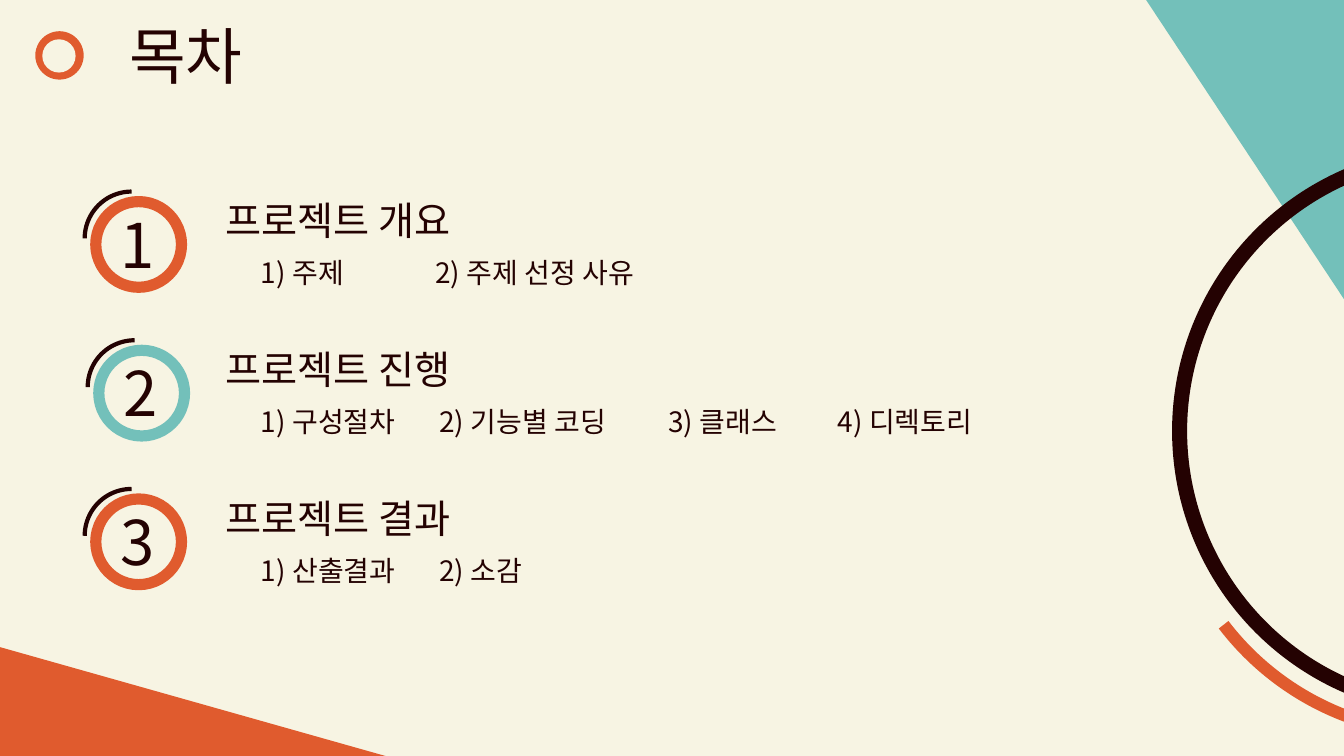
from dataclasses import dataclass

from pptx import Presentation
from pptx.dml.color import RGBColor
from pptx.enum.shapes import MSO_SHAPE
from pptx.enum.text import MSO_ANCHOR, MSO_AUTO_SIZE, PP_ALIGN
from pptx.oxml.ns import qn
from pptx.util import Inches, Pt
from lxml.etree import SubElement


@dataclass(frozen=True)
class Theme:
    font: str = "Noto Sans CJK KR"
    cream: str = "F7F4E3"
    rust: str = "E05B2E"
    teal: str = "73C0BA"
    dark: str = "240202"
    large: int = 44
    head: int = 28
    body: int = 20


THEME = Theme()
TOPICS = [
    (0, THEME.rust, "프로젝트 개요", "1) 주제\t2) 주제 선정 사유", [1.73]),
    (0.03, THEME.teal, "프로젝트 진행",
     "1) 구성절차\t2) 기능별 코딩\t3) 클래스\t4) 디렉토리", [1.77, 4.04, 5.72]),
    (0, THEME.rust, "프로젝트 결과", "1) 산출결과\t2) 소감", [1.77]),
]


def color(code):
    return RGBColor.from_string(code)


def draw(slide, kind, box, fill=None, line=None, width=1, turn=0, adjust=()):
    shape = slide.shapes.add_shape(kind, *map(Inches, box))
    shape.shadow.inherit = False
    shape.rotation = turn
    for index, value in enumerate(adjust):
        shape.adjustments[index] = value
    if fill:
        shape.fill.solid()
        shape.fill.fore_color.rgb = color(fill)
    else:
        shape.fill.background()
    if line:
        shape.line.color.rgb = color(line)
        shape.line.width = Pt(width)
    else:
        shape.line.fill.background()
    return shape


def write(frame, text, size=THEME.body, align=PP_ALIGN.LEFT, tabs=()):
    frame.word_wrap = True
    frame.auto_size = MSO_AUTO_SIZE.NONE
    frame.vertical_anchor = MSO_ANCHOR.TOP
    para = frame.paragraphs[0]
    para.alignment = align
    if tabs:
        stops = SubElement(para._p.get_or_add_pPr(), qn("a:tabLst"))
        for stop in tabs:
            SubElement(stops, qn("a:tab"), pos=str(Inches(stop)), algn="l")
    run = para.add_run()
    run.text = text
    run.font.size = Pt(size)
    run.font.name = THEME.font
    run.font.color.rgb = color(THEME.dark)
    SubElement(run.font._element, qn("a:ea"), typeface=THEME.font)


def label(slide, box, text, **style):
    write(slide.shapes.add_textbox(*map(Inches, box)).text_frame, text, **style)


def decor(slide):
    wedge, arc = MSO_SHAPE.ISOSCELES_TRIANGLE, MSO_SHAPE.ARC
    draw(slide, wedge, (0, 6.42, 4, 1.13), fill=THEME.rust, adjust=[0])
    draw(slide, wedge, (10.86, 0.5, 2.98, 1.97), fill=THEME.teal,
         turn=270, adjust=[1])
    draw(slide, arc, (11.7, 1.52, 5.51, 5.51), line=THEME.dark, width=10.75,
         turn=266.4, adjust=[122.78, 205.19])
    draw(slide, arc, (11.57, 1.77, 5.51, 5.51), line=THEME.rust, width=8.75,
         turn=257.8, adjust=[127.46, 146.89])


def header(slide, text):
    title = slide.shapes.title
    title.left, title.top, title.width, title.height = map(
        Inches, (0.61, 0.13, 2.47, 0.84))
    write(title.text_frame, text, size=THEME.large, align=PP_ALIGN.CENTER)
    draw(slide, MSO_SHAPE.OVAL, (0.35, 0.31, 0.48, 0.48), fill=THEME.rust)
    draw(slide, MSO_SHAPE.OVAL, (0.42, 0.39, 0.33, 0.33), fill=THEME.cream)


def badge(slide, left, top, number, tint):
    draw(slide, MSO_SHAPE.OVAL, (left, top, 0.85, 0.85), line=tint, width=8)
    draw(slide, MSO_SHAPE.ARC, (left - 0.11, top - 0.1, 0.93, 0.93),
         line=THEME.dark, width=3, turn=270)
    label(slide, (left + 0.01, top, 0.81, 0.84), str(number),
          size=THEME.large, align=PP_ALIGN.CENTER)


def topic(slide, number, shift, tint, name, items, tabs):
    top = 2 + 1.475 * (number - 1)
    badge(slide, 0.95 + shift, top, number, tint)
    label(slide, (2.14, top - 0.1, 4.09, 0.57), name, size=THEME.head)
    label(slide, (2.49, top + 0.49, 8.33, 0.44), items, tabs=tabs)


def main():
    deck = Presentation()
    deck.slide_width, deck.slide_height = Inches(13.33), Inches(7.5)
    slide = deck.slides.add_slide(deck.slide_layouts[5])
    slide.background.fill.solid()
    slide.background.fill.fore_color.rgb = color(THEME.cream)
    decor(slide)
    header(slide, "목차")
    for number, entry in enumerate(TOPICS, 1):
        topic(slide, number, *entry)
    deck.save("out.pptx")


if __name__ == "__main__":
    main()
